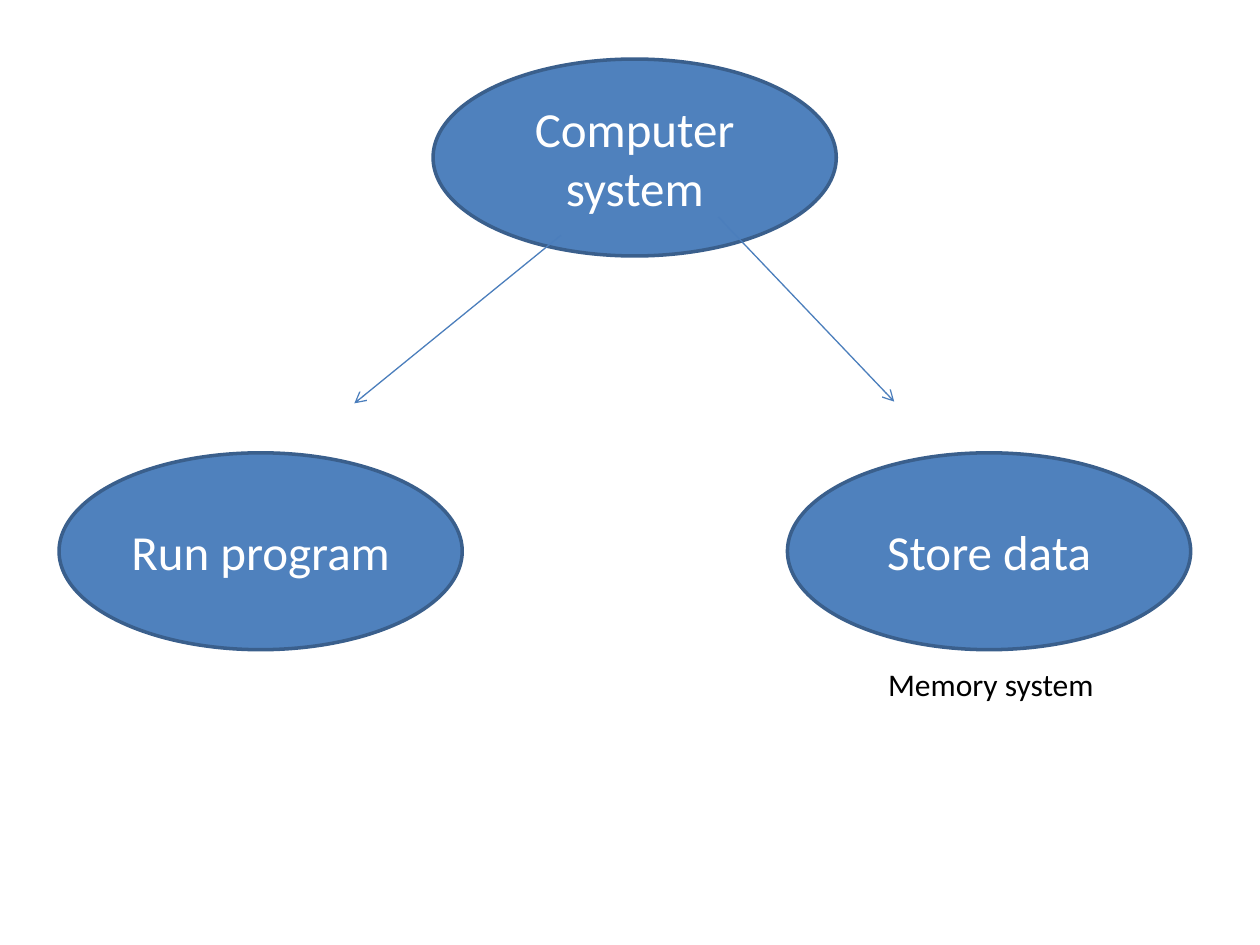
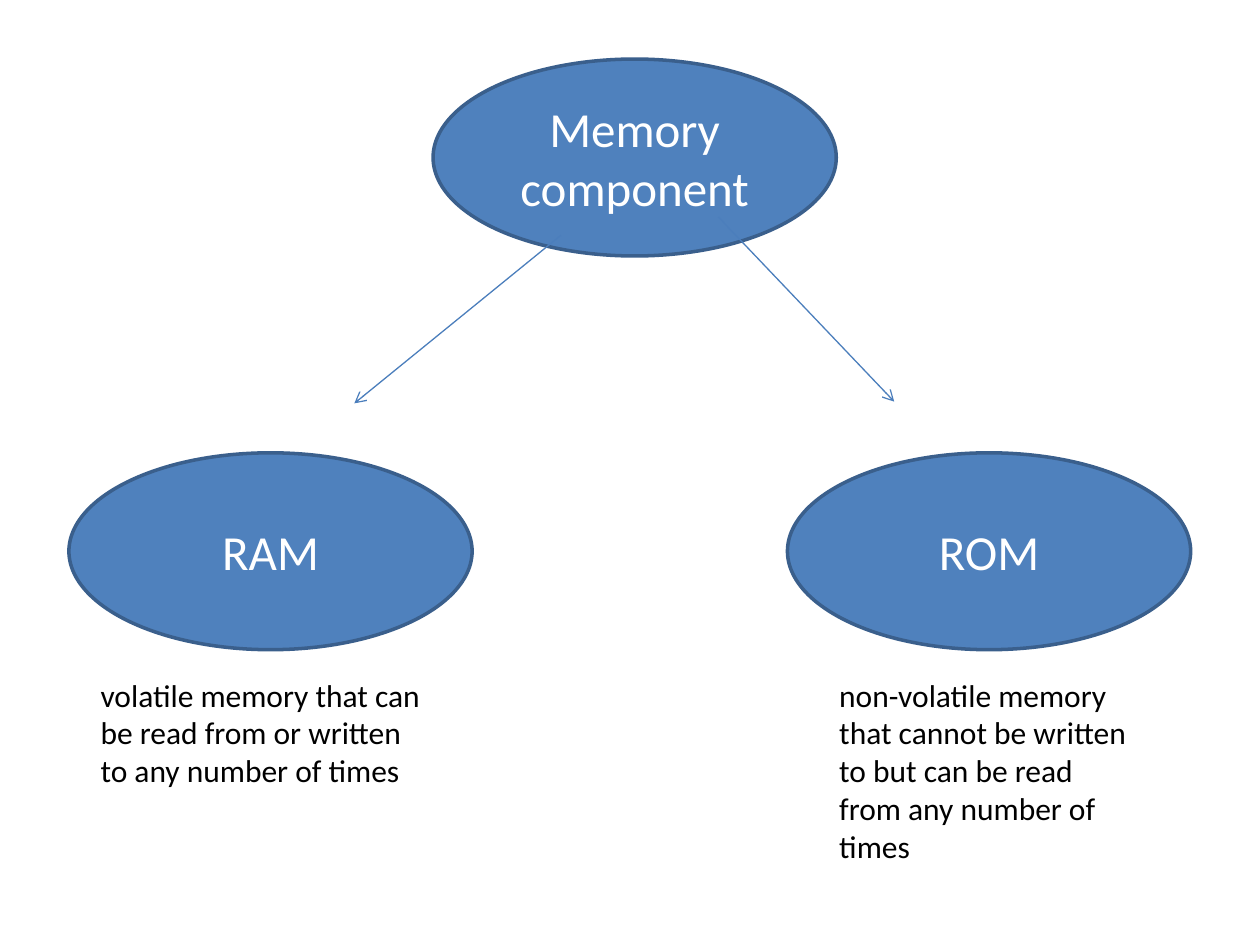
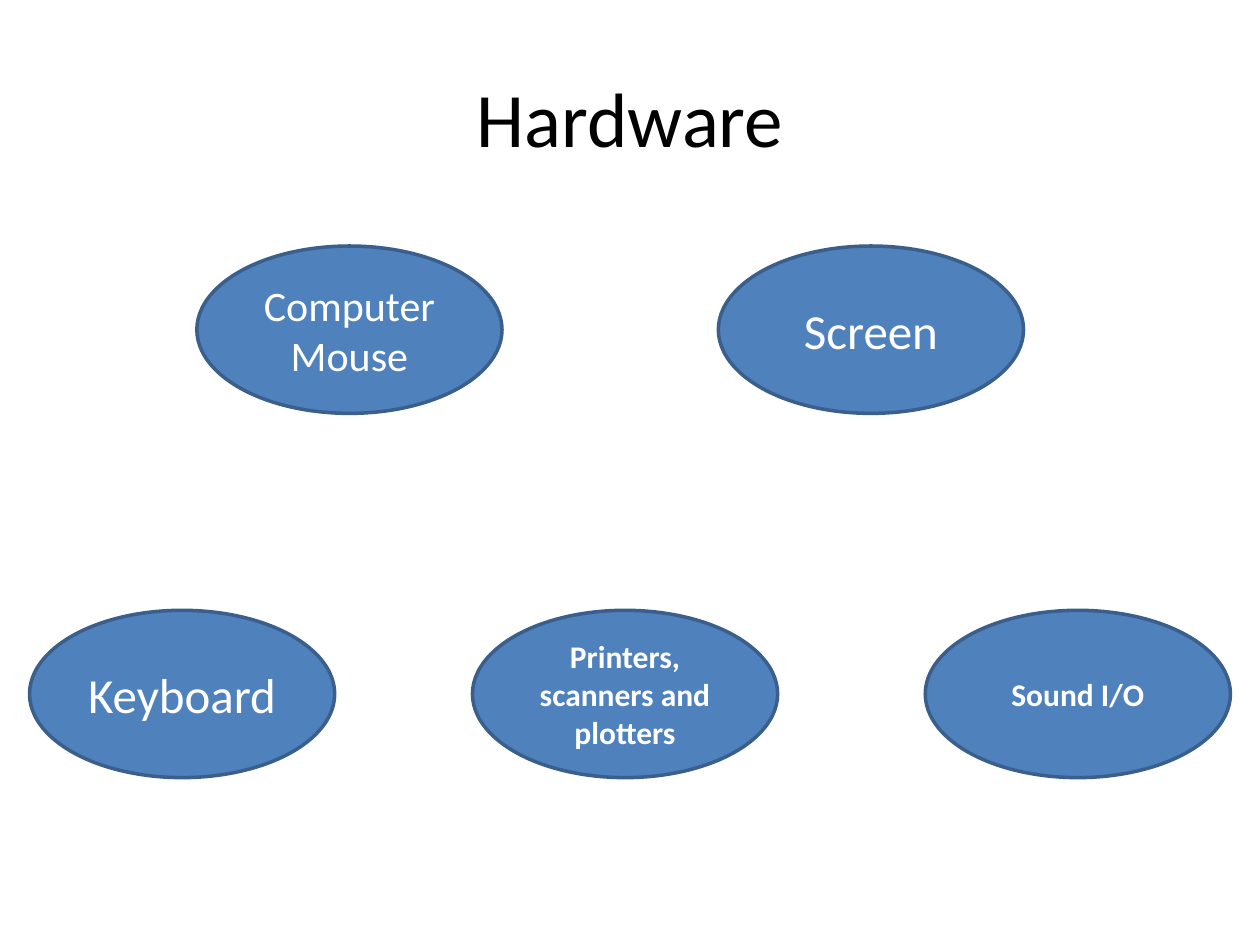
"""Build three slides on computer systems, memory and hardware."""
from dataclasses import dataclass

from lxml.etree import SubElement
from pptx import Presentation
from pptx.dml.color import RGBColor as Color
from pptx.enum.shapes import MSO_CONNECTOR as Connector, MSO_SHAPE as Shape
from pptx.enum.text import MSO_ANCHOR as Anchor, MSO_AUTO_SIZE as AutoSize, PP_ALIGN as Align
from pptx.oxml.ns import qn
from pptx.util import Pt


@dataclass(frozen=True)
class Theme:
    font: str = "Calibri"
    fill: Color = Color.from_string("4F81BD")
    outline: Color = Color.from_string("3A5F8C")
    arrow: Color = Color.from_string("4B7EBC")
    light: Color = Color.from_string("FFFFFF")
    dark: Color = Color.from_string("000000")
    title: int = 44
    label: int = 28
    medium: int = 24
    body: int = 18


theme = Theme()


def write(frame, text, size=theme.body, color=theme.dark, bold=False,
          align=Align.LEFT, anchor=Anchor.TOP):
    frame.word_wrap = True
    frame.vertical_anchor = anchor
    para = frame.paragraphs[0]
    para.alignment = align
    span = para.add_run()
    span.text = text
    span.font.name = theme.font
    span.font.size = Pt(size)
    span.font.bold = bold
    span.font.color.rgb = color


def add_oval(page, text, left, top, width, height, size=theme.label, bold=False):
    oval = page.shapes.add_shape(Shape.OVAL, Pt(left), Pt(top), Pt(width), Pt(height))
    oval.shadow.inherit = False
    oval.fill.solid()
    oval.fill.fore_color.rgb = theme.fill
    oval.line.color.rgb = theme.outline
    oval.line.width = Pt(2)
    write(oval.text_frame, text, size=size, color=theme.light, bold=bold,
          align=Align.CENTER, anchor=Anchor.MIDDLE)


deck = Presentation()
deck.slide_width, deck.slide_height = Pt(720), Pt(540)
title_only, blank = deck.slide_layouts[5], deck.slide_layouts[6]

tree_oval = (230.4, 112.5)
root_left, root_top = 247.5, 33.75
branch_top, right_branch = 258.75, 450
arrows = [(320.5, 134.5, 202.5, 230.5), (410.5, 124, 511, 229.5)]
trees = [
    ("Computer system", [("Run program", 33.75), ("Store data", right_branch)],
     [("Memory system", 500.4, 376.5, 200, 29)]),
    ("Memory component", [("RAM", 39.4), ("ROM", right_branch)],
     [("volatile memory that can be read from or written to any number of times",
       50.4, 382.5, 202.5, 72.7),
      ("non-volatile memory that cannot be written to but can be read from any number of times",
       472.5, 382.5, 185.6, 116.3)]),
]

for root, branches, captions in trees:
    page = deck.slides.add_slide(blank)
    add_oval(page, root, root_left, root_top, *tree_oval)
    for ends in arrows:
        arrow = page.shapes.add_connector(Connector.STRAIGHT, *map(Pt, ends))
        arrow.line.color.rgb = theme.arrow
        arrow.line.width = Pt(0.75)
        SubElement(arrow.line._get_or_add_ln(), qn("a:tailEnd"), type="arrow")
        SubElement(arrow._element.spPr, qn("a:effectLst"))
    for text, left in branches:
        add_oval(page, text, left, branch_top, *tree_oval)
    for text, *bounds in captions:
        box = page.shapes.add_textbox(*map(Pt, bounds))
        write(box.text_frame, text)
        box.text_frame.auto_size = AutoSize.SHAPE_TO_FIT_TEXT

page = deck.slides.add_slide(title_only)
title = page.shapes.title
title.left, title.top, title.width, title.height = map(Pt, (36, 21.6, 648, 90))
write(title.text_frame, "Hardware", size=theme.title, align=Align.CENTER, anchor=Anchor.MIDDLE)

device_oval = (174.4, 95.6)
upper_row, lower_row = 140.6, 348.75
devices = [
    ("Computer Mouse", 112.5, upper_row, theme.medium, False),
    ("Screen", 410.5, upper_row, theme.label, False),
    ("Sound I/O", 528.75, lower_row, theme.body, True),
    ("Printers, scanners and plotters", 270, lower_row, theme.body, True),
    ("Keyboard", 16.9, lower_row, theme.label, False),
]
for text, left, top, size, bold in devices:
    add_oval(page, text, left, top, *device_oval, size=size, bold=bold)

deck.save("out.pptx")
